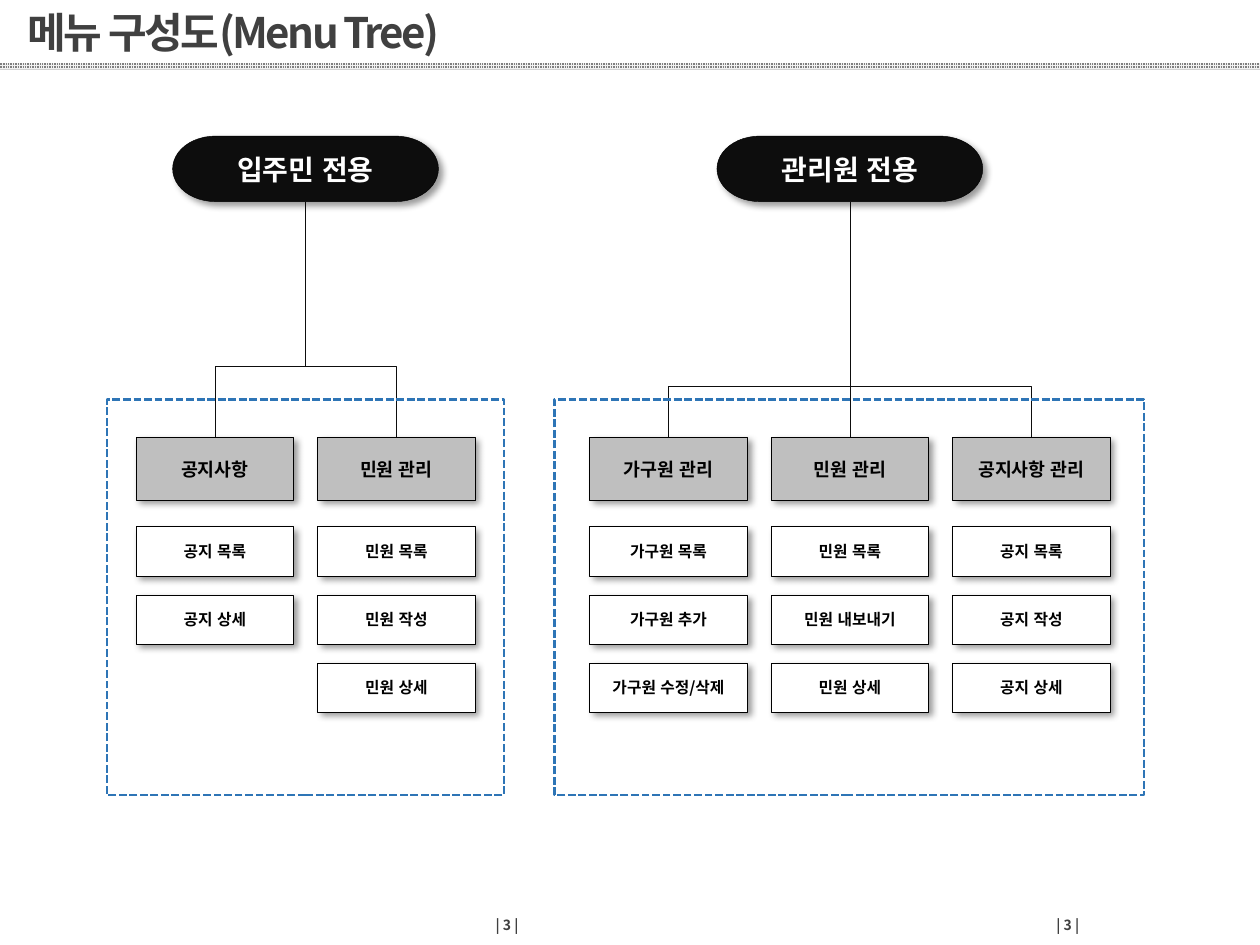
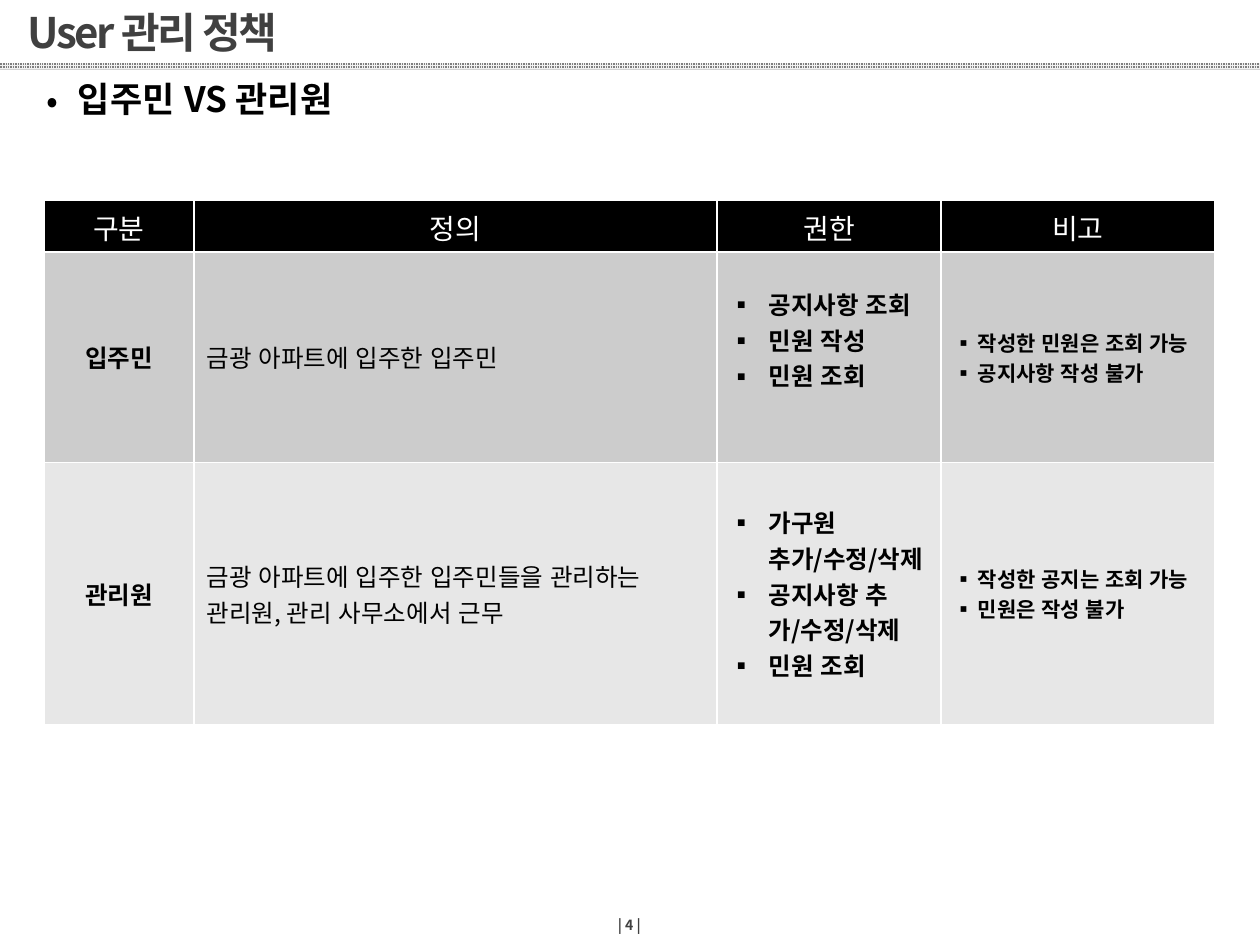
from dataclasses import dataclass

from lxml import etree
from pptx import Presentation
from pptx.dml.color import RGBColor
from pptx.enum.dml import MSO_LINE, MSO_PATTERN
from pptx.enum.lang import MSO_LANGUAGE_ID
from pptx.enum.shapes import MSO_CONNECTOR, MSO_SHAPE
from pptx.enum.text import MSO_ANCHOR, MSO_AUTO_SIZE, PP_ALIGN
from pptx.oxml.ns import qn
from pptx.util import Inches, Pt

LEFT, CENTER = PP_ALIGN.LEFT, PP_ALIGN.CENTER
TOP, MIDDLE = MSO_ANCHOR.TOP, MSO_ANCHOR.MIDDLE
NO_FIT = MSO_AUTO_SIZE.NONE
RECTANGLE = MSO_SHAPE.RECTANGLE
PROCESS = MSO_SHAPE.FLOWCHART_PROCESS
TERMINATOR = MSO_SHAPE.FLOWCHART_TERMINATOR
STRAIGHT, ELBOW = MSO_CONNECTOR.STRAIGHT, MSO_CONNECTOR.ELBOW
DASH = MSO_LINE.SQUARE_DOT
SMALL_GRID = MSO_PATTERN.SMALL_GRID
KOREAN = MSO_LANGUAGE_ID.KOREAN

FONT = "Noto Sans CJK KR"
BLACK, WHITE, INK, DARK = "000000", "FFFFFF", "0D0D0D", "404040"
GRAY, BLUE = "BFBFBF", "2E75B6"
BAND_LIGHT, BAND_DARK = "F2F2F2", "808080"
ROW_FILLS = ["CCCCCC", "E7E7E7"]

# Menu tree grid, in inches
ROOT_WIDTH, ROOT_TOP, ROOT_HEIGHT = 2.11, 1.08, 0.52
BOX_WIDTH, COLUMN_STEP = 1.25, 1.44
HEAD_TOP, HEAD_HEIGHT = 3.47, 0.5
ITEM_TOP, ITEM_HEIGHT, ITEM_STEP = 4.18, 0.39, 0.54
FRAME_TOP, FRAME_HEIGHT = 3.17, 3.14


@dataclass
class Branch:
    head: str
    items: list[str]


@dataclass
class Tree:
    root: str
    left: float
    frame_left: float
    frame_width: float
    fork_top: float
    bend: float
    page_left: float
    branches: list[Branch]


@dataclass
class Policy:
    role: str
    definition: str
    rights: list[str]
    remarks: list[str]
    rights_margin: float = 0.05


TREES = [
    Tree("입주민 전용", 1.08, 0.85, 3.15, 1.6, 0.7, 3.64, [
        Branch("공지사항", ["공지 목록", "공지 상세"]),
        Branch("민원 관리", ["민원 목록", "민원 작성", "민원 상세"]),
    ]),
    Tree("관리원 전용", 4.68, 4.4, 4.68, 2.66, 0.5, 8.09, [
        Branch("가구원 관리", ["가구원 목록", "가구원 추가", "가구원 수정/삭제"]),
        Branch("민원 관리", ["민원 목록", "민원 내보내기", "민원 상세"]),
        Branch("공지사항 관리", ["공지 목록", "공지 작성", "공지 상세"]),
    ]),
]
COLUMN_TITLES = ["구분", "정의", "권한", "비고"]
COLUMN_WIDTHS = [1.19, 4.15, 1.78, 2.17]
ROW_HEIGHTS = [0.41, 1.67, 2.08]
POLICIES = [
    Policy("입주민", "금광 아파트에 입주한 입주민",
           ["공지사항 조회", "민원 작성", "민원 조회"],
           ["작성한 민원은 조회 가능", "공지사항 작성 불가"], rights_margin=0.33),
    Policy("관리원", "금광 아파트에 입주한 입주민들을 관리하는 관리원, 관리 사무소에서 근무",
           ["가구원 추가/수정/삭제", "공지사항 추가/수정/삭제", "민원 조회"],
           ["작성한 공지는 조회 가능", "민원은 작성 불가"]),
]


def color(value: str) -> RGBColor:
    return RGBColor.from_string(value)


def write(frame, text: str | list[str], *, size: float, ink: str = BLACK, bold: bool = True,
          align=LEFT, anchor=MIDDLE, line_spacing: float | None = None,
          letter_spacing: float = 0, bullet: str = "", indent: float = 0) -> None:
    """Fill a text frame, one paragraph for each line."""
    frame.word_wrap = True
    frame.vertical_anchor = anchor
    lines = [text] if isinstance(text, str) else text
    for index, line in enumerate(lines):
        para = frame.paragraphs[0] if index == 0 else frame.add_paragraph()
        if bullet:
            properties = para._p.get_or_add_pPr()
            properties.set("marL", str(Inches(indent)))
            properties.set("indent", str(-Inches(indent)))
            etree.SubElement(properties, qn("a:buFont"), typeface=FONT)
            etree.SubElement(properties, qn("a:buChar"), char=bullet)
        para.alignment = align
        if line_spacing:
            para.line_spacing = line_spacing
        span = para.add_run()
        span.text = line
        font = span.font
        font.name, font.size, font.bold = FONT, Pt(size), bold
        font.color.rgb = color(ink)
        font.language_id = KOREAN
        run_properties = span._r.get_or_add_rPr()
        etree.SubElement(run_properties, qn("a:ea"), typeface=FONT)
        if letter_spacing:
            run_properties.set("spc", str(round(letter_spacing * 100)))


def add_text(page, text: str, left: float, top: float, width: float, height: float, **style) -> None:
    box = page.shapes.add_textbox(Inches(left), Inches(top), Inches(width), Inches(height))
    write(box.text_frame, text, **style)


def add_shape(page, kind, left: float, top: float, width: float, height: float):
    shape = page.shapes.add_shape(kind, Inches(left), Inches(top), Inches(width), Inches(height))
    shape.shadow.inherit = False
    return shape


def add_node(page, kind, left: float, top: float, width: float, height: float,
             text: str, size: float, fill: str, ink: str = BLACK) -> None:
    """Add a filled box with a soft shadow."""
    node = add_shape(page, kind, left, top, width, height)
    node.fill.solid()
    node.fill.fore_color.rgb = color(fill)
    node.line.color.rgb = color(BLACK)
    node.line.width = Pt(0.25)
    effects = node._element.spPr.find(qn("a:effectLst"))
    shadow = etree.SubElement(effects, qn("a:outerShdw"), blurRad=str(Pt(4)), dist=str(Pt(3)),
                              dir=str(45 * 60000), algn="tl", rotWithShape="0")
    shade = etree.SubElement(shadow, qn("a:srgbClr"), val=BLACK)
    etree.SubElement(shade, qn("a:alpha"), val="40000")
    write(node.text_frame, text, size=size, ink=ink, align=CENTER)


def add_line(page, kind, x1: float, y1: float, x2: float, y2: float):
    line = page.shapes.add_connector(kind, Inches(x1), Inches(y1), Inches(x2), Inches(y2))
    line.line.color.rgb = color(INK)
    line.line.width = Pt(0.25)
    etree.SubElement(line._element.spPr, qn("a:effectLst"))
    return line


def add_fork(page, x1: float, y1: float, x2: float, y2: float, bend: float) -> None:
    """Add an elbow that leaves downward, as a quarter-turned connector."""
    middle_x, middle_y = (x1 + x2) / 2, (y1 + y2) / 2
    half_run, half_rise = (y2 - y1) / 2, abs(x2 - x1) / 2
    fork = add_line(page, ELBOW, middle_x - half_run, middle_y - half_rise,
                    middle_x + half_run, middle_y + half_rise)
    properties = fork._element.spPr
    transform = properties.find(qn("a:xfrm"))
    transform.set("rot", str((270 if x2 > x1 else 90) * 60000))
    if x2 > x1:
        transform.set("flipH", "1")
    geometry = properties.find(qn("a:prstGeom"))
    guides = geometry.find(qn("a:avLst"))
    if guides is None:
        guides = etree.SubElement(geometry, qn("a:avLst"))
    etree.SubElement(guides, qn("a:gd"), name="adj1", fmla=f"val {round(bend * 100000)}")


def add_page(deck, title_text: str):
    """Add a slide with the shared title and dotted band."""
    page = deck.slides.add_slide(deck.slide_layouts[5])
    title = page.shapes.title
    title.left, title.top = Inches(0.12), Inches(0.05)
    title.width, title.height = Inches(8.43), Inches(0.45)
    title.text_frame.auto_size = NO_FIT
    write(title.text_frame, title_text, size=24, ink=DARK, line_spacing=0.9, letter_spacing=-1.5)
    band = add_shape(page, RECTANGLE, 0, 0.5, 10, 0.05)
    band.fill.patterned()
    band.fill.pattern = SMALL_GRID
    band.fill.fore_color.rgb = color(BAND_LIGHT)
    band.fill.back_color.rgb = color(BAND_DARK)
    band.line.fill.background()
    return page


def add_page_number(page, number: int, left: float) -> None:
    add_text(page, f"| {number} |", left, 7.2, 0.77, 0.28, size=8, ink=DARK, align=CENTER)


def draw_tree(page, tree: Tree) -> None:
    lefts = [tree.left + COLUMN_STEP * index for index in range(len(tree.branches))]
    root_x = (lefts[0] + lefts[-1] + BOX_WIDTH) / 2
    root_bottom = ROOT_TOP + ROOT_HEIGHT

    # Lines from the root to each branch
    for left in lefts:
        head_x = left + BOX_WIDTH / 2
        if abs(head_x - root_x) < 0.01:
            add_line(page, STRAIGHT, root_x, root_bottom, root_x, HEAD_TOP)
        else:
            add_fork(page, root_x, tree.fork_top, head_x, HEAD_TOP, tree.bend)

    # Root and dashed frame
    add_node(page, TERMINATOR, root_x - ROOT_WIDTH / 2, ROOT_TOP, ROOT_WIDTH, ROOT_HEIGHT,
             tree.root, 16, INK, WHITE)
    frame = add_shape(page, RECTANGLE, tree.frame_left, FRAME_TOP, tree.frame_width, FRAME_HEIGHT)
    frame.fill.background()
    frame.line.color.rgb = color(BLUE)
    frame.line.width = Pt(1.5)
    frame.line.dash_style = DASH

    # Branch columns
    for left, branch in zip(lefts, tree.branches):
        add_node(page, PROCESS, left, HEAD_TOP, BOX_WIDTH, HEAD_HEIGHT, branch.head, 10.5, GRAY)
        for index, item in enumerate(branch.items):
            add_node(page, PROCESS, left, ITEM_TOP + ITEM_STEP * index, BOX_WIDTH, ITEM_HEIGHT,
                     item, 9, WHITE)


def fill_cell(cell, text: str | list[str], fill: str, **style) -> None:
    properties = cell._tc.get_or_add_tcPr()
    for side in "LRTB":
        border = etree.SubElement(properties, qn(f"a:ln{side}"), w=str(Pt(1)))
        paint = etree.SubElement(border, qn("a:solidFill"))
        etree.SubElement(paint, qn("a:srgbClr"), val=WHITE)
    cell.fill.solid()
    cell.fill.fore_color.rgb = color(fill)
    write(cell.text_frame, text, **style)
    cell.vertical_anchor = MIDDLE


def draw_policy_table(page) -> None:
    table = page.shapes.add_table(
        len(ROW_HEIGHTS), len(COLUMN_WIDTHS), Inches(0.35), Inches(1.59),
        Inches(sum(COLUMN_WIDTHS)), Inches(sum(ROW_HEIGHTS))).table
    for column, width in zip(table.columns, COLUMN_WIDTHS):
        column.width = Inches(width)
    for row, height in zip(table.rows, ROW_HEIGHTS):
        row.height = Inches(height)
    for index, text in enumerate(COLUMN_TITLES):
        fill_cell(table.cell(0, index), text, BLACK, size=16, ink=WHITE, bold=False, align=CENTER)
    for row, (policy, fill) in enumerate(zip(POLICIES, ROW_FILLS), start=1):
        fill_cell(table.cell(row, 0), policy.role, fill, size=14, align=CENTER)
        fill_cell(table.cell(row, 1), policy.definition, fill, size=14, bold=False)
        fill_cell(table.cell(row, 2), policy.rights, fill, size=14, bullet="▪", indent=0.31)
        table.cell(row, 2).margin_bottom = Inches(policy.rights_margin)
        fill_cell(table.cell(row, 3), policy.remarks, fill, size=12, bullet="▪", indent=0.19)


def main() -> None:
    deck = Presentation()
    deck.slide_width, deck.slide_height = Inches(10), Inches(7.5)

    # Menu tree
    page = add_page(deck, "메뉴 구성도(Menu Tree)")
    for tree in TREES:
        draw_tree(page, tree)
        add_page_number(page, 3, tree.page_left)

    # User policy
    page = add_page(deck, "User 관리 정책")
    add_text(page, "입주민 VS 관리원", 0.27, 0.6, 9.45, 0.47, size=20, anchor=TOP,
             line_spacing=0.9, bullet="•", indent=0.25)
    draw_policy_table(page)
    add_page_number(page, 4, 4.61)

    deck.save("out.pptx")


if __name__ == "__main__":
    main()
